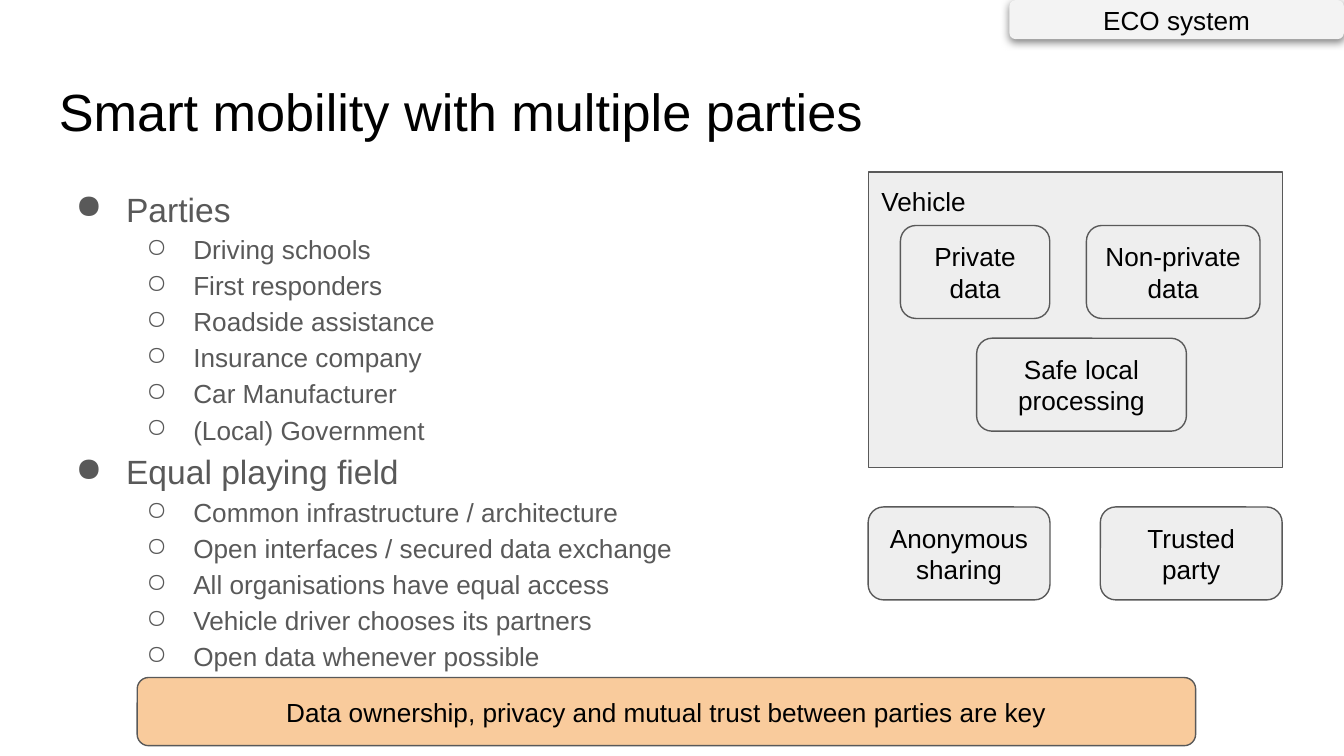
"""Builds the slide on smart mobility with multiple parties."""
import lxml.etree
import pptx
import pptx.dml.color
import pptx.enum.shapes
import pptx.enum.text
import pptx.oxml.ns
import pptx.util

Pt = pptx.util.Pt
qn = pptx.oxml.ns.qn
SHAPE = pptx.enum.shapes.MSO_SHAPE
ALIGN = pptx.enum.text.PP_ALIGN
ANCHOR = pptx.enum.text.MSO_ANCHOR


def rgb(value):
    return pptx.dml.color.RGBColor.from_string(value)


class Deck:
    font = "Arial"
    black, gray, light = "000000", "595959", "EEEEEE"
    body_size = 14
    bullets = (("●", 36, -27, 18), ("○", 72, -25.2, 14))

    def __init__(self, width, height):
        self.prs = pptx.Presentation()
        self.prs.slide_width, self.prs.slide_height = Pt(width), Pt(height)
        self.slide = self.prs.slides.add_slide(self.prs.slide_layouts[6])

    def style(self, p, size, color):
        for r in p.runs:
            r.font.name, r.font.size = self.font, Pt(size)
            r.font.color.rgb = rgb(color)

    def frame(self, sp, anchor):
        tf = sp.text_frame
        tf.word_wrap = True
        tf.vertical_anchor = anchor
        tf.margin_left = tf.margin_right = Pt(7.2)
        tf.margin_top = tf.margin_bottom = Pt(7.2)
        return tf

    def text_box(self, *box):
        sp = self.slide.shapes.add_textbox(*map(Pt, box))
        return self.frame(sp, ANCHOR.TOP)

    def title(self, text, *box):
        tf = self.text_box(*box)
        tf.text = text
        self.style(tf.paragraphs[0], 28, self.black)

    def outline(self, items, *box):
        tf = self.text_box(*box)
        for i, (level, text) in enumerate(items):
            p = tf.paragraphs[0] if i == 0 else tf.add_paragraph()
            char, margin, indent, size = self.bullets[level]
            p.text, p.level, p.line_spacing = text, level, 1.15
            pPr = p._p.get_or_add_pPr()
            pPr.set("marL", str(Pt(margin)))
            pPr.set("indent", str(Pt(indent)))
            color = lxml.etree.SubElement(pPr, qn("a:buClr"))
            lxml.etree.SubElement(color, qn("a:srgbClr"), val=self.gray)
            lxml.etree.SubElement(pPr, qn("a:buChar"), char=char)
            self.style(p, size, self.gray)

    def block(self, text, *box, fill=light, line=gray, kind=SHAPE.ROUNDED_RECTANGLE,
              align=ALIGN.CENTER, anchor=ANCHOR.MIDDLE):
        sp = self.slide.shapes.add_shape(kind, *map(Pt, box))
        sp.shadow.inherit = False
        sp.fill.solid()
        sp.fill.fore_color.rgb = rgb(fill)
        if line:
            sp.line.color.rgb = rgb(line)
            sp.line.width = Pt(0.75)
        else:
            sp.line.fill.background()
        tf = self.frame(sp, anchor)
        tf.text = text
        for p in tf.paragraphs:
            p.alignment = align
            self.style(p, self.body_size, self.black)
        return sp

    def tab(self, text, *box):
        sp = self.block(text, *box, fill="F3F3F3", line=None)
        effects = sp._element.spPr.find(qn("a:effectLst"))
        shadow = lxml.etree.SubElement(
            effects, qn("a:outerShdw"), blurRad=str(Pt(4.5)), dist=str(Pt(1.5)),
            dir="5400000", algn="bl", rotWithShape="0")
        color = lxml.etree.SubElement(shadow, qn("a:srgbClr"), val=self.black)
        lxml.etree.SubElement(color, qn("a:alpha"), val="50000")


def main():
    deck = Deck(720, 405)
    topics = {
        "Parties": (
            "Driving schools", "First responders", "Roadside assistance",
            "Insurance company", "Car Manufacturer", "(Local) Government"),
        "Equal playing field": (
            "Common infrastructure / architecture",
            "Open interfaces / secured data exchange",
            "All organisations have equal access",
            "Vehicle driver chooses its partners",
            "Open data whenever possible"),
    }
    items = []
    for topic, points in topics.items():
        items += [(0, topic)] + [(1, point) for point in points]
    deck.outline(items, 24.5, 90.7, 368, 269.3)
    deck.block("Vehicle", 465.1, 92.2, 221.8, 158.4, kind=SHAPE.RECTANGLE,
               align=ALIGN.LEFT, anchor=ANCHOR.TOP)
    deck.title("Smart mobility with multiple parties", 24.5, 35.3, 671, 45.4)
    for text, left, top, width in (
            ("Non-private\ndata", 582, 120.8, 93),
            ("Safe local processing", 523.2, 181.2, 112.4),
            ("Anonymous\nsharing", 465.1, 271.6, 97.4),
            ("Trusted\nparty", 589.5, 271.6, 97.4),
            ("Private data", 482.4, 120.8, 80)):
        deck.block(text, left, top, width, 49.8)
    deck.block("Data ownership, privacy and mutual trust between parties are key",
               73.5, 363, 567, 36.5, fill="F9CB9C")
    deck.tab("ECO system", 540.7, 0, 179.3, 21)
    deck.prs.save("out.pptx")


if __name__ == "__main__":
    main()
